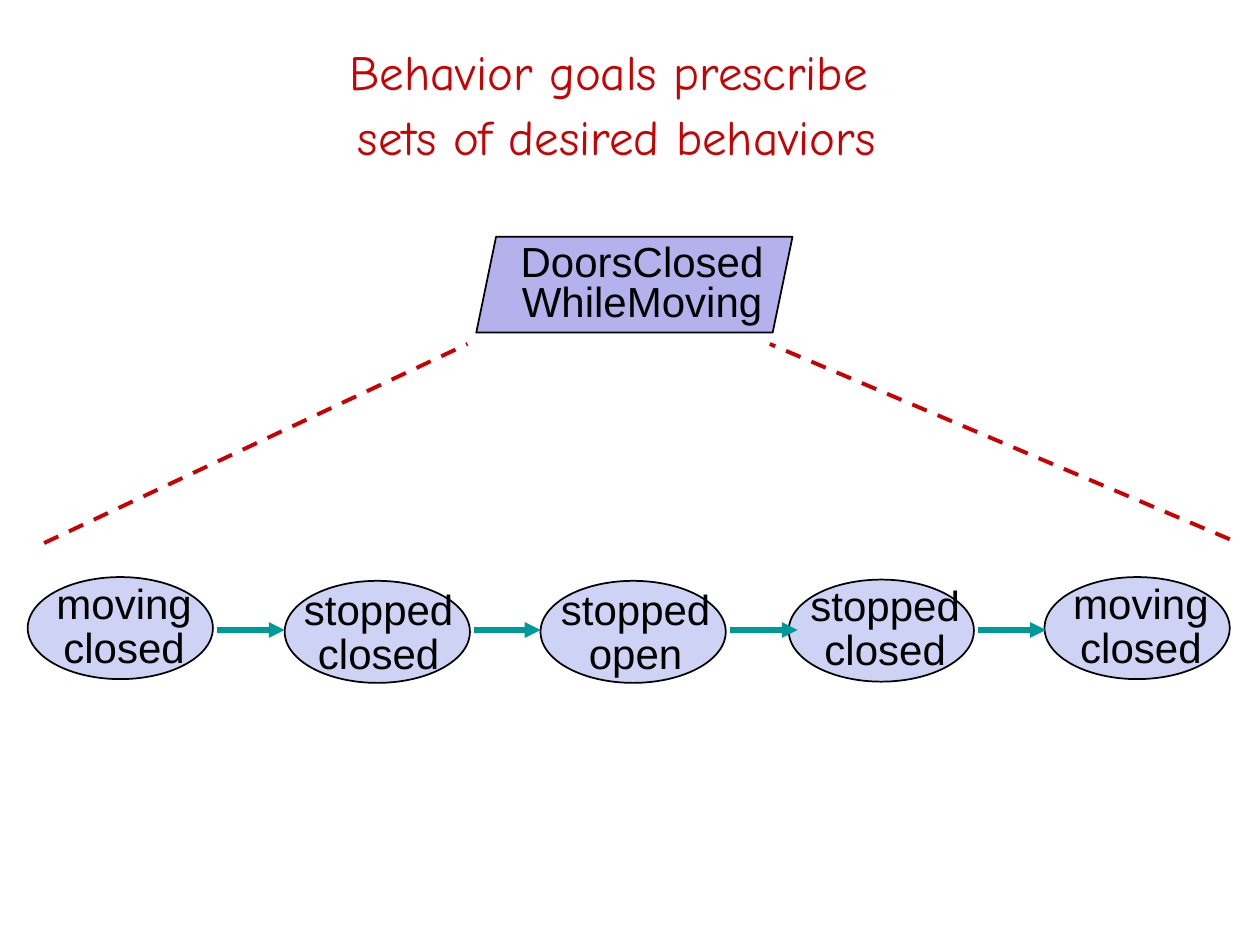
import pptx
import pptx.util
import pptx.dml.color
import pptx.enum.dml
import pptx.enum.shapes
import pptx.enum.text
import pptx.oxml
import pptx.oxml.ns
import lxml.etree

Inches = pptx.util.Inches
Pt = pptx.util.Pt
SHAPE = pptx.enum.shapes.MSO_SHAPE

COLORS = {
    "red": "CC0000",
    "goal": "B4B1ED",
    "state": "CED3F6",
    "arrow": "009999",
    "ink": "000000",
}

# Left and top of each state, left and top of its label, and its words
STATES = [
    (0.22, 4.58, 0.25, 4.64, ["moving", "closed"]),
    (2.26, 4.61, 2.27, 4.69, ["stopped", "closed"]),
    (4.29, 4.61, 4.31, 4.69, ["stopped", "open"]),
    (6.26, 4.60, 6.29, 4.66, ["stopped", "closed"]),
    (8.29, 4.58, 8.32, 4.64, ["moving", "closed"]),
]
ARROWS = [(1.72, 2.26), (3.76, 4.29), (5.79, 6.33), (7.76, 8.30)]
RAYS = [((0.35, 4.31), (3.71, 2.73)), ((9.76, 4.28), (6.11, 2.73))]


def color(name):
    return pptx.dml.color.RGBColor.from_string(COLORS[name])


def write(frame, lines, size=24, font="Arial", ink="ink", gaps=(1,), before=0):
    """Fill a frame with centred paragraphs; gaps are their line spacings."""
    frame.word_wrap = True
    for i, (line, gap) in enumerate(zip(lines, gaps)):
        para = frame.paragraphs[0] if i == 0 else frame.add_paragraph()
        para.text = line
        para.alignment = pptx.enum.text.PP_ALIGN.CENTER
        para.line_spacing = gap
        para.space_before = Pt(before)
        for run in para.runs:
            run.font.size = Pt(size)
            run.font.name = font
            run.font.color.rgb = color(ink)


def node(slide, kind, fill, box, area, lines, gaps):
    """Group an outlined shape with its label."""
    group = slide.shapes.add_group_shape()
    shape = group.shapes.add_shape(kind, *map(Inches, box))
    shape.shadow.inherit = False
    shape.fill.solid()
    shape.fill.fore_color.rgb = color(fill)
    shape.line.color.rgb = color("ink")
    shape.line.width = Pt(1)
    label = group.shapes.add_textbox(*map(Inches, area))
    write(label.text_frame, lines, gaps=gaps, before=12)
    label.text_frame.auto_size = pptx.enum.text.MSO_AUTO_SIZE.SHAPE_TO_FIT_TEXT
    return shape


def link(slide, start, end, ink, width, dash=False, head=False):
    """Draw a straight line, dashed or with an arrowhead if asked."""
    line = slide.shapes.add_connector(
        pptx.enum.shapes.MSO_CONNECTOR.STRAIGHT, *map(Inches, start + end))
    line.line.color.rgb = color(ink)
    line.line.width = Pt(width)
    if dash:
        line.line.dash_style = pptx.enum.dml.MSO_LINE.DASH
    qn = pptx.oxml.ns.qn
    props = line._element.spPr
    if head:
        lxml.etree.SubElement(props.find(qn("a:ln")), qn("a:tailEnd"), type="triangle")
    lxml.etree.SubElement(props, qn("a:effectLst"))


def main():
    deck = pptx.Presentation()
    deck.slide_width, deck.slide_height = Inches(10), Inches(7.5)
    slide = deck.slides.add_slide(deck.slide_layouts[5])

    # Title
    title = slide.shapes.title
    title.left, title.top = Inches(0.24), Inches(0.38)
    title.width, title.height = Inches(9.31), Inches(0.83)
    title.text_frame.vertical_anchor = pptx.enum.text.MSO_ANCHOR.MIDDLE
    write(title.text_frame, ["Behavior goals prescribe \vsets of desired behaviors"],
          size=28, font="Comic Neue", ink="red", gaps=(1.1,))

    # Goal
    goal = node(slide, SHAPE.PARALLELOGRAM, "goal", (3.78, 1.88, 2.51, 0.76),
                (3.95, 1.93, 2.29, 0.67), ["DoorsClosed", "WhileMoving"], (0.7, 0.3))
    goal.adjustments[0] = 0.207

    # States of one behavior
    for left, top, x, y, words in STATES:
        node(slide, SHAPE.OVAL, "state", (left, top, 1.47, 0.81),
             (x, y, 1.47, 0.71), words, (0.7, 0.4))

    # Steps between states
    for start, end in ARROWS:
        link(slide, (start, 5), (end, 5), "arrow", 3, head=True)

    # Rays from the goal to the behavior
    for start, end in RAYS:
        link(slide, start, end, "red", 2.25, dash=True)

    deck.save("out.pptx")


if __name__ == "__main__":
    main()
